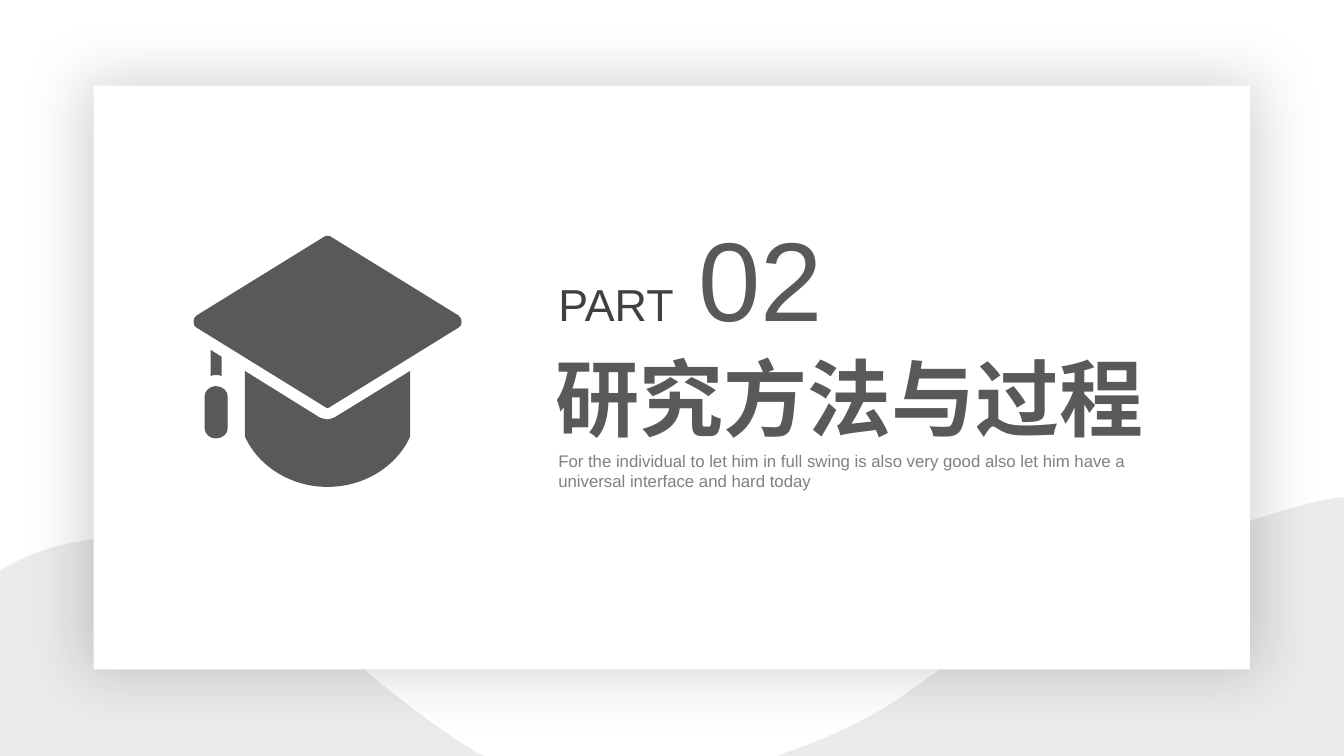
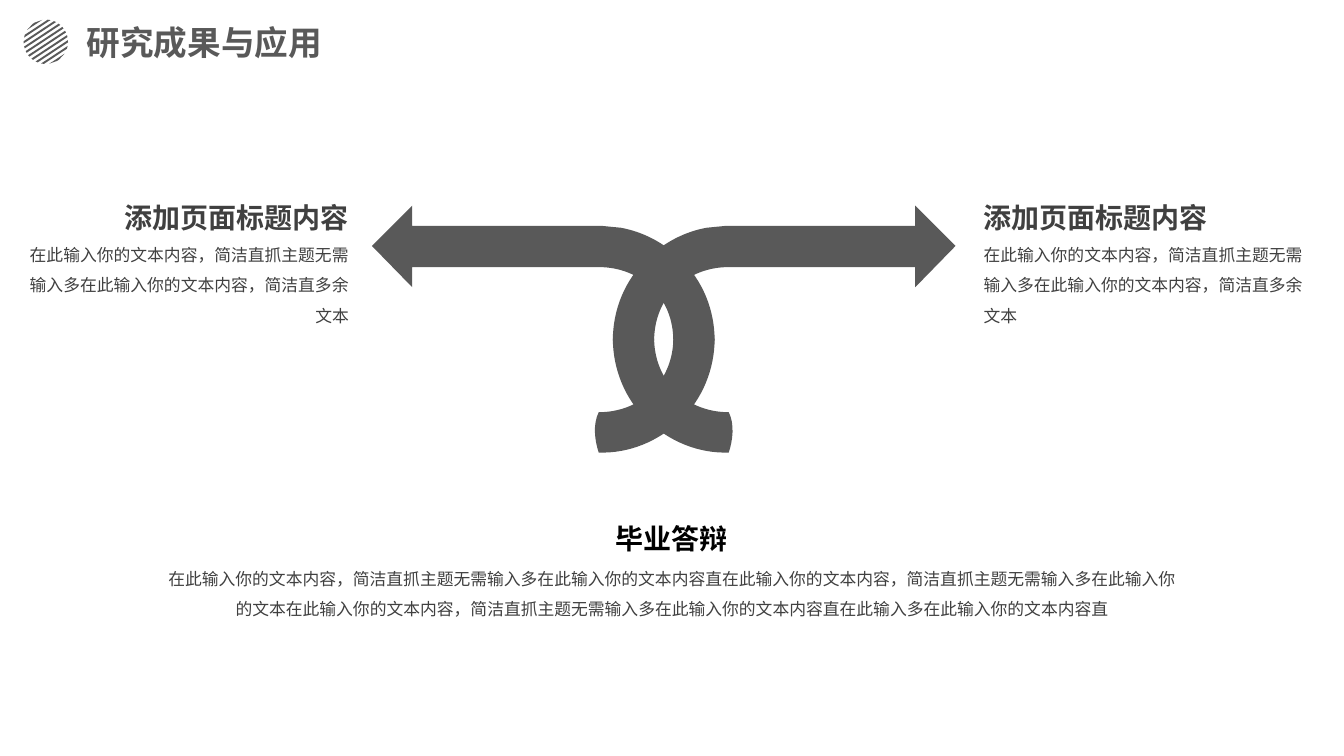
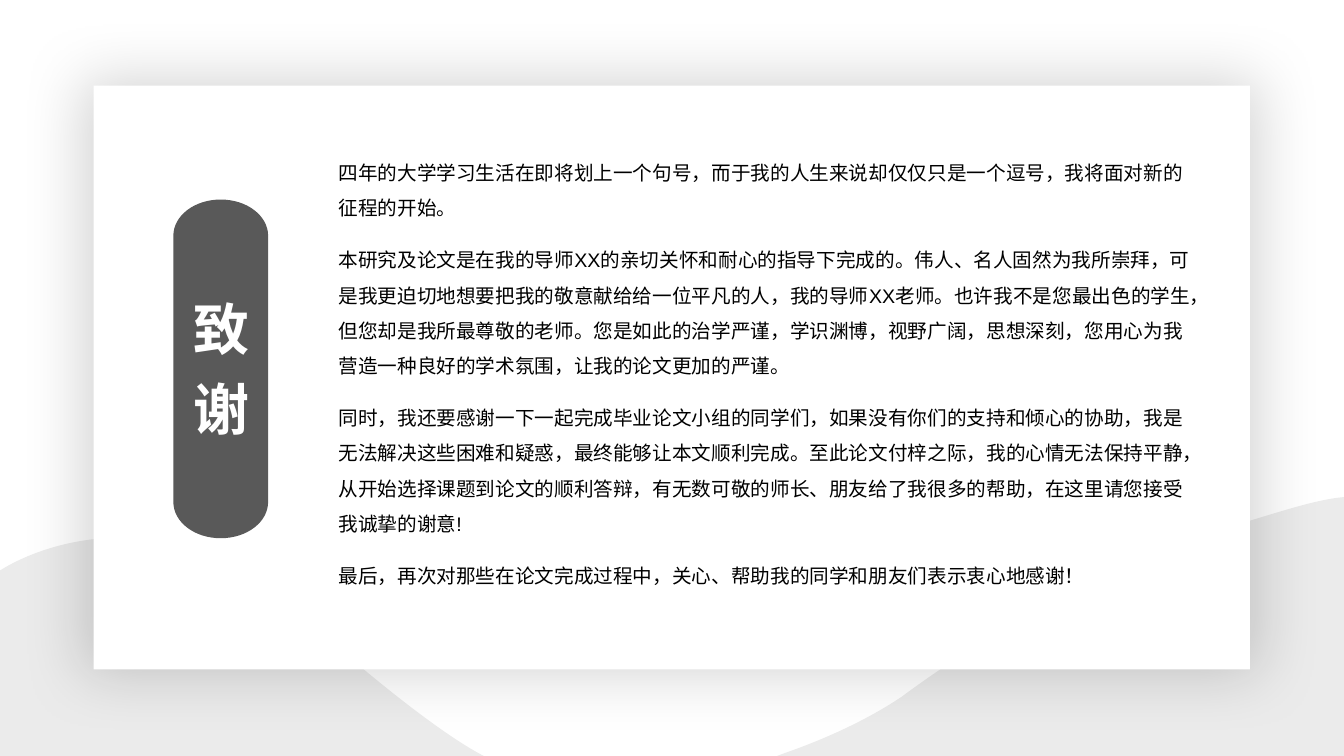
from math import cos, radians, sin, sqrt

from lxml import etree
from pptx import Presentation
from pptx.dml.color import RGBColor
from pptx.enum.lang import MSO_LANGUAGE_ID
from pptx.enum.shapes import MSO_SHAPE
from pptx.enum.text import MSO_AUTO_SIZE, PP_ALIGN
from pptx.oxml.ns import qn
from pptx.util import Pt

PX = 9144  # one hundredth of an inch
FONT = "Arial"
COLOURS = {
    "white": "FFFFFF",
    "wave": "EBEBEB",
    "dark": "595959",
    "body": "404040",
    "caption": "808080",
    "black": "000000",
}


def add_text(page, paragraphs, left, top, width, height, size=12, colour="body", bold=False,
             align=PP_ALIGN.LEFT, spacing=None, after=None, wrap=True, inset=None):
    """Each paragraph is a string, or a list of (words, size, colour) spans."""
    box = page.shapes.add_textbox(left * PX, top * PX, width * PX, height * PX)
    frame = box.text_frame
    frame.word_wrap = wrap
    frame.auto_size = MSO_AUTO_SIZE.SHAPE_TO_FIT_TEXT
    if inset is not None:
        frame.margin_left = frame.margin_right = inset * PX
        frame.margin_top = frame.margin_bottom = inset * PX
    for index, spans in enumerate(paragraphs):
        para = frame.add_paragraph() if index else frame.paragraphs[0]
        para.alignment = align
        para.line_spacing = spacing
        if after is not None:
            para.space_after = Pt(after)
        if isinstance(spans, str):
            spans = [(spans, size, colour)]
        for words, span_size, span_colour in spans:
            span = para.add_run()
            span.text = words
            span.font.name = FONT
            span.font.size = Pt(span_size)
            span.font.bold = bold
            span.font.color.rgb = RGBColor.from_string(COLOURS[span_colour])
            span.font.language_id = MSO_LANGUAGE_ID.SIMPLIFIED_CHINESE


def add_outline(page, outline, colour="dark", mirror=None):
    """Fill contours written as M, L and C commands; mirror is the sum of both sides' x."""
    builder = None
    kinds = []
    for contour in outline.split("M")[1:]:
        points = []
        for command in contour.replace("L", "|L").replace("C", "|C").split("|"):
            numbers = [float(word) for word in command.strip("LC \n").split()]
            pairs = list(zip(numbers[::2], numbers[1::2]))
            kinds += ["C" if command.startswith("C") else "L"] * (len(pairs) - (not points))
            points += pairs
        if mirror is not None:
            points = [(mirror - x, y) for x, y in points]
        points = [(round(x * PX), round(y * PX)) for x, y in points]
        if builder is None:
            builder = page.shapes.build_freeform(*points[0], scale=1.0)
        else:
            builder.move_to(*points[0])
        builder.add_line_segments(points[1:], close=True)
    shape = builder.convert_to_shape()
    # Every three curve points become one cubic segment
    segments = list(shape._element.iter(qn("a:lnTo")))
    curved = [segment for segment, kind in zip(segments, kinds) if kind == "C"]
    for first in range(0, len(curved), 3):
        cubic = etree.Element(qn("a:cubicBezTo"))
        curved[first].addprevious(cubic)
        for segment in curved[first:first + 3]:
            cubic.append(segment[0])
            segment.getparent().remove(segment)
    shape.shadow.inherit = False
    shape.fill.solid()
    shape.fill.fore_color.rgb = RGBColor.from_string(COLOURS[colour])
    shape.line.fill.background()


deck = Presentation()
deck.slide_width, deck.slide_height = round(4000 / 3 * PX), 750 * PX
section, results, thanks = [deck.slides.add_slide(deck.slide_layouts[6]) for _ in range(3)]

# Waves and shadowed card shared by the section and thanks pages
WAVES = [
    """M 132 533 C 168 534 251 548 343 649 343 649 427 722 478 749 L 480 750 0 750 0 566 5 563
    C 24 552 59 537 104 534 107 534 110 534 114 534 114 534 120 533 132 533""",
    """M 1335 493 L 1335 750 771 750 779 747 C 808 737 855 718 895 691
    895 691 1052 573 1179 535 1258 512 1292 499 1326 494""",
]
for page in (section, thanks):
    for wave in WAVES:
        add_outline(page, wave, colour="wave")
    card = page.shapes.add_shape(MSO_SHAPE.RECTANGLE, 93 * PX, 85 * PX, 1147 * PX, 579 * PX)
    card.shadow.inherit = False
    card.fill.solid()
    card.fill.fore_color.rgb = RGBColor.from_string(COLOURS["white"])
    card.line.fill.background()
    effects = card._element.spPr.find(qn("a:effectLst"))
    shadow = etree.SubElement(effects, qn("a:outerShdw"), blurRad=str(Pt(45)), dist="0", dir="0",
                              sx="102000", sy="102000", algn="ctr", rotWithShape="0")
    tint = etree.SubElement(shadow, qn("a:srgbClr"), val=COLOURS["black"])
    etree.SubElement(tint, qn("a:alpha"), val="17000")

# Section page: heading and graduation cap
add_text(section, [[("PART", 32, "body"), (" ", 64, "body"), ("02", 80, "dark")]],
         544, 203, 299, 145)
add_text(section, ["研究方法与过程"], 541, 339, 650, 111, size=60, colour="dark", bold=True)
add_text(section, ["For the individual to let him in full swing is also very good also let him "
                   "have a universal interface and hard today"],
         544, 442, 622, 50, colour="caption")
add_outline(section, """
    M 214 383 C 221 383 226 388 226 393 L 226 425 C 226 430 221 435 214 435
    208 435 203 430 203 425 L 203 393 C 203 388 208 383 214 383
    M 243 368 L 317 414 C 320 415 322 416 325 416 327 416 330 415 332 414
    L 407 368 407 433 C 394 462 362 483 325 483 288 483 256 462 243 433
    M 209 347 L 220 354 220 373 C 218 372 216 372 214 372 213 372 211 372 209 373
    M 325 234 C 326 234 326 234 327 234 L 455 313 C 457 314 458 317 458 319
    458 322 457 324 455 325 L 327 404 C 326 404 326 405 325 405 324 405 323 404 323 404
    L 195 325 C 193 324 192 322 192 319 192 317 193 314 195 313
    L 323 234 C 323 234 324 234 325 234""")

# Results page: striped disc made of parallel chords, and title
centre_x, centre_y, radius = 45.5, 41.5, 22
stripe_count, pitch, thickness = 10, 4.67, 1.9
tilt = radians(-33.4)
stripes = ""
for number in range(stripe_count):
    middle = (number - (stripe_count - 1) / 2) * pitch
    corners = []
    for edge, side in ((-1, -1), (-1, 1), (1, 1), (1, -1)):
        across = middle + edge * thickness / 2
        along = side * sqrt(radius**2 - across**2)
        x = centre_x + along * cos(tilt) - across * sin(tilt)
        y = centre_y + along * sin(tilt) + across * cos(tilt)
        corners.append(f"{x} {y}")
    stripes += "M " + " ".join(corners) + " "
add_outline(results, stripes)
add_text(results, ["研究成果与应用"], 86, 22, 262, 40, size=24, colour="dark", bold=True, inset=0)

# Results page: crossing arrows, each with its mirrored twin
ARROW = """M 908 204 L 948 244 908 285 908 265 723 265 C 703 265 684 272 670 286
    656 299 649 318 649 338 L 608 338 C 608 307 620 278 642 257 658 241 679 230 701 226
    L 721 224 908 224"""
TAIL = """M 608 336 C 608 366 620 396 642 417 664 438 693 450 723 449
    727 437 729 421 723 409 703 409 684 402 670 388 656 374 649 355 649 336"""
for outline in (ARROW, TAIL):
    for mirror in (None, 1317):
        add_outline(results, outline, mirror=mirror)

# Results page: captions
CAPTION = "在此输入你的文本内容，简洁直抓主题无需输入多在此输入你的文本内容，简洁直多余文本"
for head_left, body_left, align in ((966, 966, PP_ALIGN.LEFT), (111, 16, PP_ALIGN.RIGHT)):
    add_text(results, ["添加页面标题内容"], head_left, 194, 245, 44, size=20, bold=True,
             align=align, wrap=False)
    add_text(results, [CAPTION], body_left, 228, 340, 101, align=align, spacing=1.5)
add_text(results, ["毕业答辩"], 601, 512, 131, 43, size=20, colour="black", bold=True,
         align=PP_ALIGN.CENTER, wrap=False)
add_text(results, ["在此输入你的文本内容，简洁直抓主题无需输入多在此输入你的文本内容直"
                   "在此输入你的文本内容，简洁直抓主题无需输入多在此输入你的文本"
                   "在此输入你的文本内容，简洁直抓主题无需输入多在此输入你的文本内容直"
                   "在此输入多在此输入你的文本内容直"],
         155, 549, 1024, 67, align=PP_ALIGN.CENTER, spacing=1.5)

# Thanks page: message and upright label
add_text(thanks, [
    "四年的大学学习生活在即将划上一个句号，而于我的人生来说却仅仅只是一个逗号，"
    "我将面对新的征程的开始。",
    "本研究及论文是在我的导师XX的亲切关怀和耐心的指导下完成的。伟人、名人固然为我所崇拜，"
    "可是我更迫切地想要把我的敬意献给给一位平凡的人，我的导师XX老师。"
    "也许我不是您最出色的学生，但您却是我所最尊敬的老师。您是如此的治学严谨，学识渊博，"
    "视野广阔，思想深刻，您用心为我营造一种良好的学术氛围，让我的论文更加的严谨。",
    "同时，我还要感谢一下一起完成毕业论文小组的同学们，如果没有你们的支持和倾心的协助，"
    "我是无法解决这些困难和疑惑，最终能够让本文顺利完成。至此论文付梓之际，"
    "我的心情无法保持平静，从开始选择课题到论文的顺利答辩，有无数可敬的师长、"
    "朋友给了我很多的帮助，在这里请您接受我诚挚的谢意!",
    "最后，再次对那些在论文完成过程中，关心、帮助我的同学和朋友们表示衷心地感谢！",
], 326, 143, 867, 445, size=14, colour="black", spacing=1.5, after=12)
add_outline(thanks, """M 266 234 L 266 498 C 266 518 245 534 219 534 193 534 172 518 172 498
    L 172 234 C 172 214 193 198 219 198 245 198 266 214 266 234""")
for row, character in enumerate("致谢"):
    add_text(thanks, [character], 182, 287 + 80 * row, 76, 77, size=40, colour="white",
             bold=True, align=PP_ALIGN.CENTER, wrap=False)

deck.save("out.pptx")
